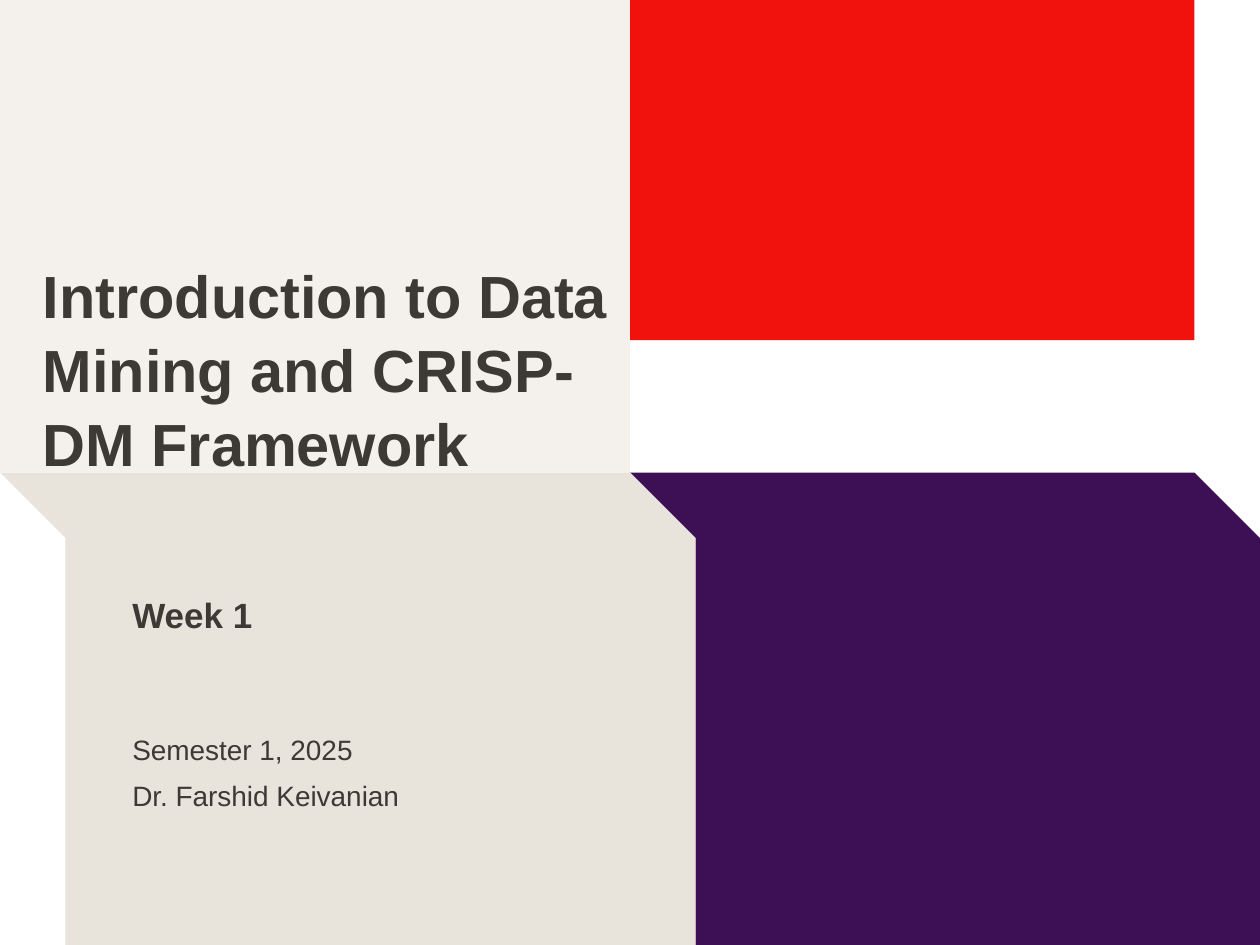
from pptx import Presentation
from pptx.dml.color import RGBColor
from pptx.enum.shapes import MSO_SHAPE
from pptx.enum.text import MSO_ANCHOR, MSO_AUTO_SIZE, PP_ALIGN
from pptx.util import Inches, Pt

COLUMNS, ROWS = 100, 75  # grid over the whole slide
SPLIT, MIDDLE = 50, 37.5  # centre lines of the cover
FOLD = 5.2  # size of the slanted corner


def colour(hex_text):
    return RGBColor.from_string(hex_text)


class Cover:
    font = "Arial"
    ink = "3D3935"

    def __init__(self, deck):
        self.cell_width = deck.slide_width / COLUMNS
        self.cell_height = deck.slide_height / ROWS
        self.slide = deck.slides.add_slide(deck.slide_layouts[5])
        self.shapes = self.slide.shapes

    def x(self, columns):
        return round(columns * self.cell_width)

    def y(self, rows):
        return round(rows * self.cell_height)

    def box(self, left, top, width, height):
        return self.x(left), self.y(top), self.x(width), self.y(height)

    def paint(self, shape, fill):
        shape.shadow.inherit = False
        shape.fill.solid()
        shape.fill.fore_color.rgb = colour(fill)
        shape.line.fill.background()

    def panel(self, left, top, width, height, fill):
        area = self.box(left, top, width, height)
        self.paint(self.shapes.add_shape(MSO_SHAPE.RECTANGLE, *area), fill)

    def folded_panel(self, left, right, fill):
        """Panel from the middle down, shifted right by a slanted fold."""
        corners = [(right, MIDDLE), (left, MIDDLE),
                   (left + FOLD, MIDDLE + FOLD), (left + FOLD, ROWS),
                   (right + FOLD, ROWS), (right + FOLD, MIDDLE + FOLD)]
        start, *rest = [(self.x(column), self.y(row)) for column, row in corners]
        outline = self.shapes.build_freeform(*start)
        outline.add_line_segments(rest, close=True)
        self.paint(outline.convert_to_shape(), fill)

    def set_text(self, shape, wording, size, bold, inset, line_spacing=1.0):
        frame = shape.text_frame
        frame.text = wording
        frame.word_wrap = True
        frame.auto_size = MSO_AUTO_SIZE.SHAPE_TO_FIT_TEXT
        frame.vertical_anchor = MSO_ANCHOR.TOP
        frame.margin_left = frame.margin_right = frame.margin_bottom = 0
        frame.margin_top = Inches(inset)
        paragraph = frame.paragraphs[0]
        paragraph.alignment = PP_ALIGN.LEFT
        paragraph.line_spacing = line_spacing
        paragraph.space_before = Pt(0)
        for run in paragraph.runs:
            run.font.name = self.font
            run.font.size = Pt(size)
            run.font.bold = bold
            run.font.color.rgb = colour(self.ink)

    def title(self, wording, area):
        title = self.shapes.title
        title.left, title.top, title.width, title.height = self.box(*area)
        self.shapes._spTree.append(title._element)  # bring in front of the panels
        self.set_text(title, wording, 34, True, 0.02, line_spacing=1.04)

    def label(self, wording, area, size, bold=False, inset=0.11):
        label = self.shapes.add_textbox(*self.box(*area))
        self.set_text(label, wording, size, bold, inset)


def main():
    deck = Presentation()
    deck.slide_width, deck.slide_height = Inches(10), Inches(7.5)
    cover = Cover(deck)

    # Coloured panels
    cover.panel(SPLIT, 0, SPLIT - FOLD, 27, "F2120D")
    cover.folded_panel(SPLIT, COLUMNS - FOLD, "3D0F54")
    cover.panel(0, 0, SPLIT, MIDDLE, "F4F1ED")
    cover.folded_panel(0, SPLIT, "E8E3DB")

    # Lecture title
    cover.title("Introduction to Data Mining and CRISP-DM Framework",
                (3.4, 20.1, 45.6, 17.3))

    # Week, term and lecturer
    cover.label("Week 1", (10.5, 46.9, 12, 3.6), 20, bold=True, inset=0.02)
    cover.label("Semester 1, 2025", (10.5, 57, 22, 3.8), 16)
    cover.label("Dr. Farshid Keivanian", (10.5, 60.7, 24, 3.8), 16)

    deck.save("out.pptx")


if __name__ == "__main__":
    main()
